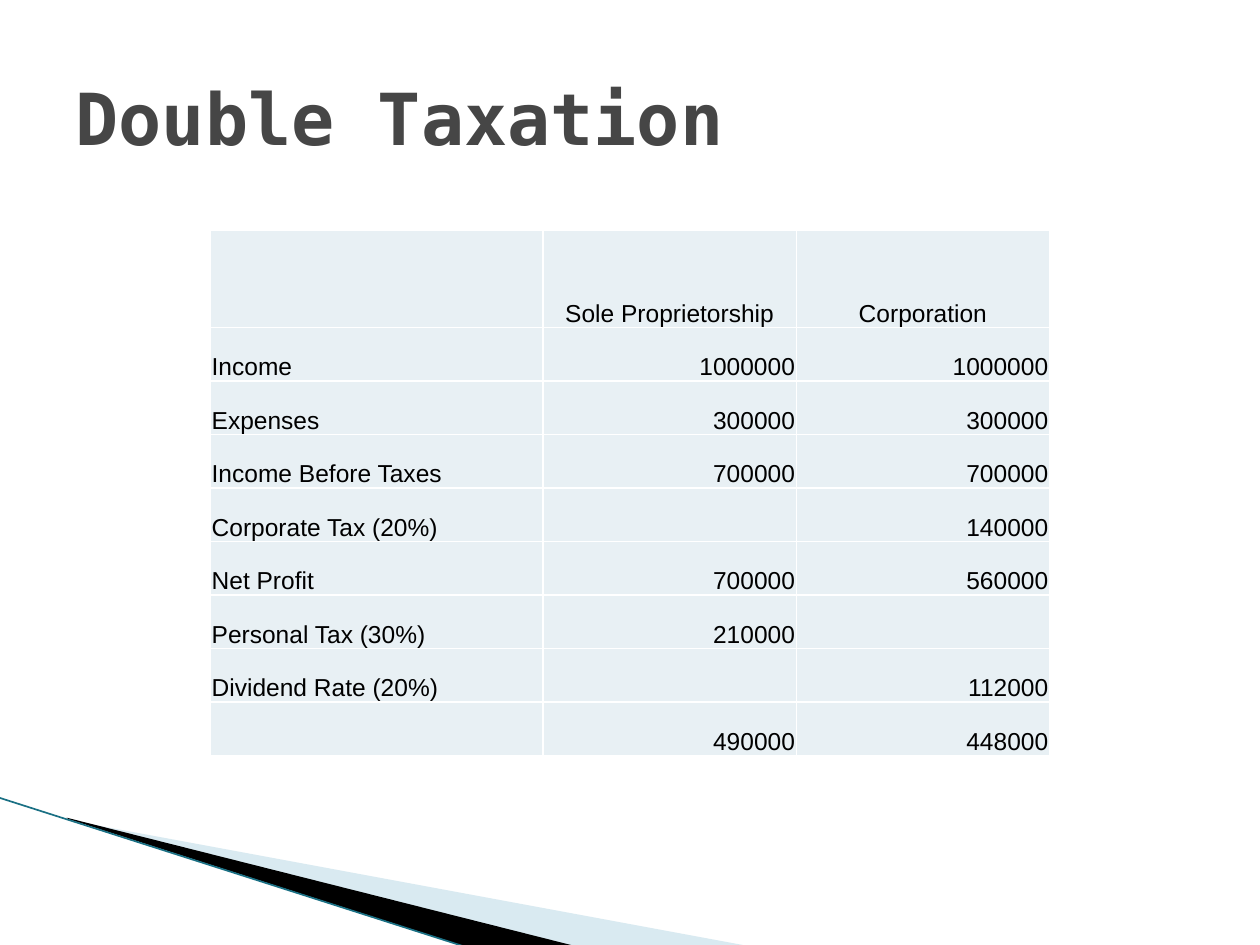
from lxml.etree import SubElement
from pptx import Presentation
from pptx.dml.color import RGBColor
from pptx.enum.shapes import MSO_CONNECTOR
from pptx.enum.text import MSO_ANCHOR, PP_ALIGN
from pptx.oxml.ns import qn
from pptx.util import Inches, Pt

TITLE = "Double Taxation"
ROWS = [
    ("", "Sole Proprietorship", "Corporation"),
    ("Income", "1000000", "1000000"),
    ("Expenses", "300000", "300000"),
    ("Income Before Taxes", "700000", "700000"),
    ("Corporate Tax (20%)", "", "140000"),
    ("Net Profit", "700000", "560000"),
    ("Personal Tax (30%)", "210000", ""),
    ("Dividend Rate (20%)", "", "112000"),
    ("", "490000", "448000"),
]
COLS = [2.64, 2.01, 2.01]
TABLE_H, HEADER_H = 4.17, 0.77
WEDGES = [
    ("A0CBDC", 40, [(0.55, 6.51), (5.95, 7.51), (4.56, 7.51), (0.55, 6.5)]),
    ("000000", 100, [(0.53, 6.49), (4.57, 7.51), (3.72, 7.52), (0.54, 6.5)]),
]
EDGE = [(-0.01, 6.33), (3.71, 7.52)]


def rgb(value):
    return RGBColor.from_string(value)


def add_run(p, text, font, size, color, bold=False):
    r = p.add_run()
    r.text = text
    r.font.name, r.font.size, r.font.bold = font, Pt(size), bold
    r.font.color.rgb = rgb(color)


def add_wedge(s, color, opacity, points):
    pts = [(Inches(x), Inches(y)) for x, y in points]
    fb = s.shapes.build_freeform(*pts[0])
    fb.add_line_segments(pts[1:], close=True)
    sp = fb.convert_to_shape()
    sp.shadow.inherit = False
    sp.fill.solid()
    sp.fill.fore_color.rgb = rgb(color)
    sp.line.fill.background()
    if opacity < 100:
        clr = sp.element.spPr.find(qn("a:solidFill"))[0]
        SubElement(clr, qn("a:alpha"), val=str(opacity * 1000))


def add_edge(s, start, end):
    ends = [Inches(v) for v in start + end]
    line = s.shapes.add_connector(MSO_CONNECTOR.STRAIGHT, *ends)
    line.line.color.rgb = rgb("1A7084")
    line.line.width = Pt(0.95)
    SubElement(line.element.spPr, qn("a:effectLst"))


def style_cell(cell):
    tcPr = cell._tc.get_or_add_tcPr()
    for side in ("lnL", "lnR", "lnT", "lnB"):
        ln = SubElement(tcPr, qn(f"a:{side}"), w=str(Pt(1)))
        SubElement(SubElement(ln, qn("a:solidFill")), qn("a:srgbClr"), val="FFFFFF")
    cell.fill.solid()
    cell.fill.fore_color.rgb = rgb("E8F0F4")
    cell.vertical_anchor = MSO_ANCHOR.BOTTOM
    cell.margin_left = cell.margin_right = cell.margin_top = Inches(0.01)
    cell.margin_bottom = 0


def add_tax_table(s):
    body_rows = len(ROWS) - 1
    heights = [HEADER_H] + [(TABLE_H - HEADER_H) / body_rows] * body_rows
    box = [Inches(v) for v in (1.67, 1.83, sum(COLS), TABLE_H)]
    table = s.shapes.add_table(len(ROWS), len(COLS), *box).table
    for col, width in zip(table.columns, COLS):
        col.width = Inches(width)
    for i, (row, height) in enumerate(zip(ROWS, heights)):
        table.rows[i].height = Inches(height)
        for j, text in enumerate(row):
            cell = table.cell(i, j)
            style_cell(cell)
            p = cell.text_frame.paragraphs[0]
            if i == 0:
                p.alignment = PP_ALIGN.CENTER
            else:
                p.alignment = PP_ALIGN.RIGHT if j else PP_ALIGN.LEFT
            if text:
                add_run(p, text, "Arial", 14, "000000")


def main():
    prs = Presentation()
    prs.slide_width, prs.slide_height = Inches(10), Inches(7.5)
    s = prs.slides.add_slide(prs.slide_layouts[5])
    for wedge in WEDGES:
        add_wedge(s, *wedge)
    add_edge(s, *EDGE)

    title = s.shapes.title
    title.element.getparent().append(title.element)
    title.left, title.top = Inches(0.5), Inches(0.3)
    title.width, title.height = Inches(9), Inches(1.25)
    tf = title.text_frame
    tf.vertical_anchor = MSO_ANCHOR.MIDDLE
    p = tf.paragraphs[0]
    p.alignment = PP_ALIGN.LEFT
    add_run(p, TITLE, "DejaVu Sans Mono", 41, "464646", True)

    add_tax_table(s)
    prs.save("out.pptx")


if __name__ == "__main__":
    main()
